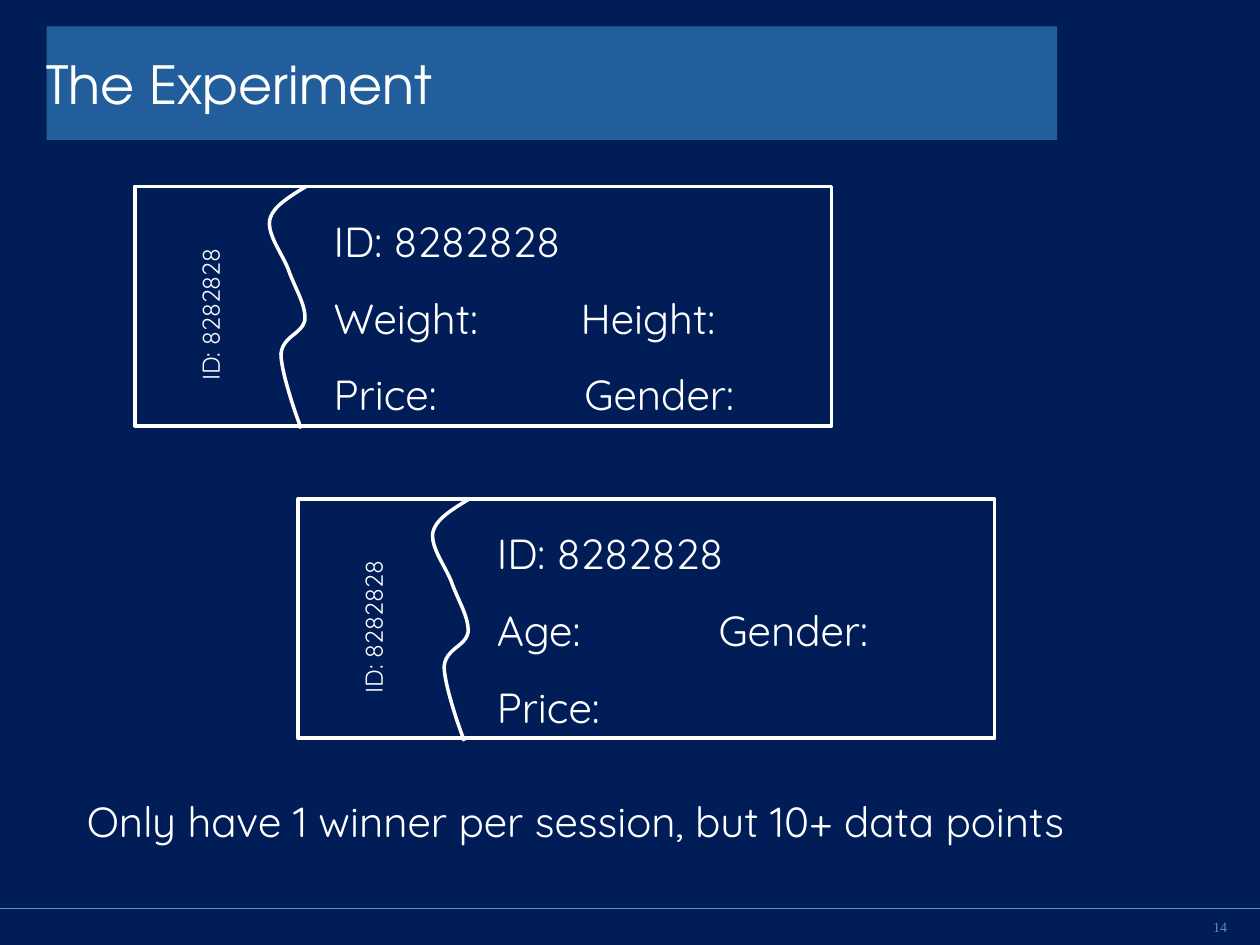
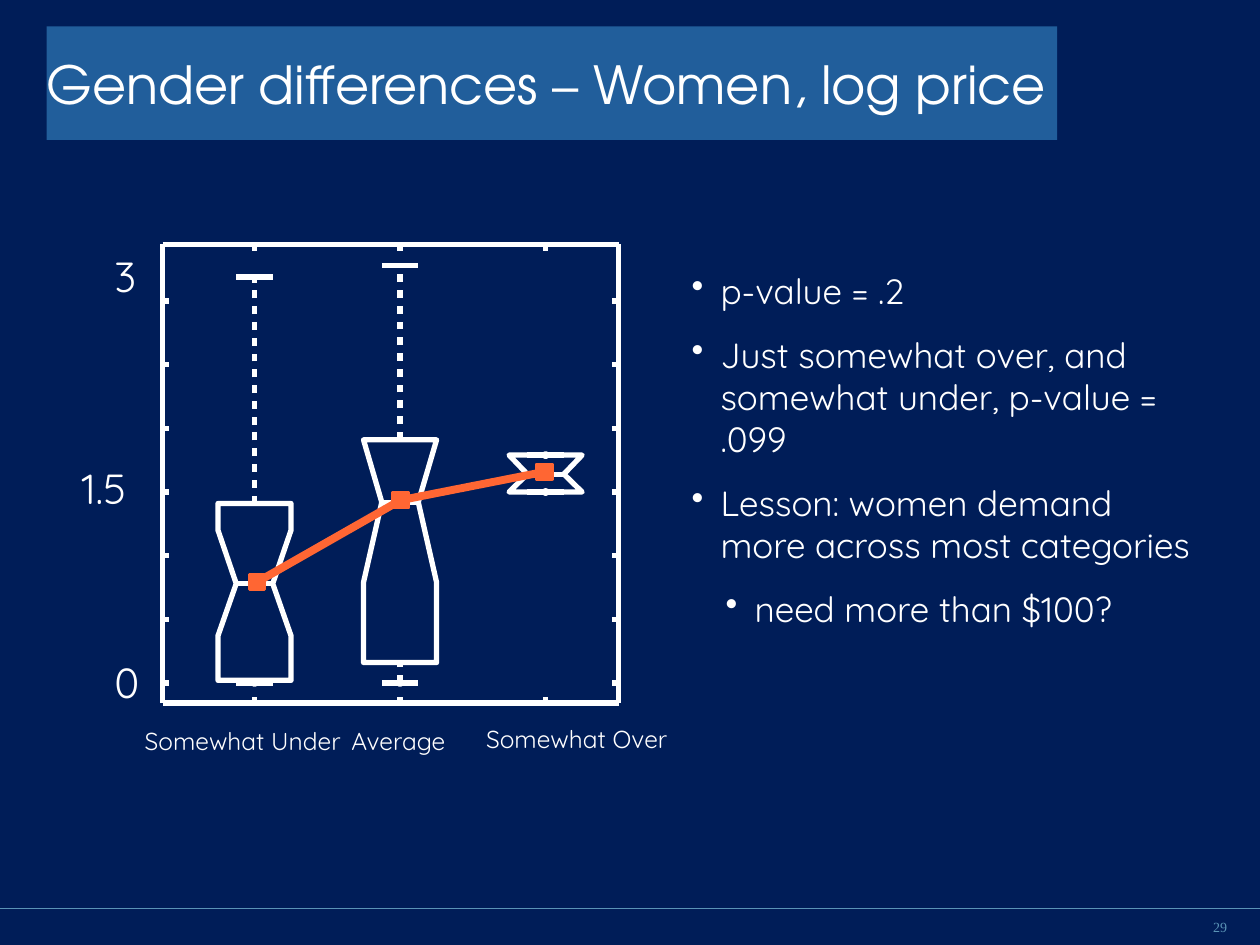
"""Builds two slides: the ticket experiment and a notched box plot of log price."""
from dataclasses import dataclass
from itertools import pairwise
from typing import Any, NamedTuple

from lxml import etree
from pptx import Presentation
from pptx import util as u
from pptx.dml.color import RGBColor
from pptx.enum import shapes, text
from pptx.oxml.ns import qn

COLS, ROWS = 100, 75
WIDE, HIGH = u.Inches(10), u.Inches(7.5)


@dataclass(frozen=True)
class Theme:
    """Colours, fonts, type sizes and line widths."""
    back: str = "001D58"
    band: str = "215E9B"
    ink: str = "FFFFFF"
    pale: str = "5A93B6"
    trend: str = "FF6633"
    dot: str = "000000"
    head: str = "TeX Gyre Adventor"
    body: str = "Quicksand"
    foot: str = "Times New Roman"
    title: float = 30
    large: float = 24
    mid: float = 20
    small: float = 14
    tiny: float = 8
    hair: float = 0.75
    pen: float = 2
    plot: float = 3
    thick: float = 4.5
    lead: float = 0.625


T = Theme()


class Spot(NamedTuple):
    """A point in grid columns and rows."""
    x: float
    y: float


class Area(NamedTuple):
    """A rectangle in grid columns and rows."""
    x: float
    y: float
    w: float
    h: float


class Row(NamedTuple):
    """A line of text with its tab stop or bullet indent."""
    words: str
    tab: float = 0
    mark: float = 0


class Ticket(NamedTuple):
    """A numbered ticket and the rows on it."""
    at: Spot
    rows: tuple[Row, ...]


class Notch(NamedTuple):
    """Values of one notched box."""
    low: float
    base: float
    dip: float
    mid: float
    rise: float
    top: float
    high: float
    dots: tuple[float, ...]


class Label(NamedTuple):
    """An axis label and its box."""
    words: str
    area: Area
    size: float


CODE = "ID: 8282828"
TICKETS = (
    Ticket(Spot(10.7, 14.8), (Row(CODE), Row("Weight:\tHeight:", 19.6),
                              Row("Price:\tGender:", 19.9))),
    Ticket(Spot(23.65, 39.6), (Row(CODE), Row("Age:\tGender:", 17.6), Row("Price:"))),
)
TEAR = ((13.6, 0), (12.3, 0.8), (10.9, 1.6), (10.7, 2.7), (10.5, 3.9), (11.9, 5.6),
        (12.3, 6.9), (12.8, 8.2), (13.6, 9.5), (13.5, 10.6), (13.3, 11.7),
        (11.7, 11.9), (11.6, 13.3), (11.6, 14.7), (12.8, 18.2), (13.2, 19.2))

FRAME = Area(12.9, 19.4, 36.2, 36.4)
FIRST, STEP = 20.2, 11.55
ZERO, UNIT = 54.2, 10.1
HALF, WAIST, TICK = 2.9, 1.45, 0.5
BOXES = (
    Notch(0, 0.02, 0.37, 0.78, 1.2, 1.41, 3.19, (0,)),
    Notch(0, 0.16, 0.79, 1.42, 1.91, 1.91, 3.28, (0,)),
    Notch(1.5, 1.5, 1.5, 1.64, 1.79, 1.79, 1.79, (1.5, 1.79)),
)
TREND = (Spot(20.4, 46.2), Spot(31.8, 39.7), Spot(43.2, 37.45))
LABELS = (
    Label("3", Area(8.1, 18.9, 4.3, 6), T.large),
    Label("1.5", Area(5.5, 35.7, 7.5, 6), T.large),
    Label("0", Area(8.1, 51.1, 4.4, 6), T.large),
    Label("Somewhat Under", Area(10.5, 56.6, 19.7, 4.3), T.small),
    Label("Average", Area(26.9, 56.6, 19.7, 4.3), T.small),
    Label("Somewhat Over", Area(37.6, 56.5, 19.7, 4.3), T.small),
)
NOTES = (
    Row("p-value = .2", mark=2.3),
    Row("Just somewhat over, and somewhat under, p-value = .099", mark=2.3),
    Row("Lesson: women demand more across most categories", mark=2.3),
    Row("need more than $100?", mark=5),
)


def across(n: float) -> u.Emu:
    """Turn grid columns into a length."""
    return u.Emu(round(WIDE * n / COLS))


def down(n: float) -> u.Emu:
    """Turn grid rows into a length."""
    return u.Emu(round(HIGH * n / ROWS))


def place(area: Area) -> tuple[u.Emu, ...]:
    """Turn an area into left, top, width and height."""
    return across(area.x), down(area.y), across(area.w), down(area.h)


def stroke(line: Any, tint: str, width: float) -> None:
    """Colour a line and set its width."""
    line.color.rgb = RGBColor.from_string(tint)
    line.width = u.Pt(width)


def paint(shape: Any, fill: str | None, tint: str, width: float) -> None:
    """Give a shape its fill and line, without shadow."""
    shape.shadow.inherit = False
    if fill:
        shape.fill.solid()
        shape.fill.fore_color.rgb = RGBColor.from_string(fill)
    else:
        shape.fill.background()
    stroke(shape.line, tint, width)


def rule(slide: Any, a: Spot, b: Spot, tint: str = T.ink, width: float = T.plot,
         dash: bool = False) -> None:
    """Draw a straight line, dashed if asked."""
    link = slide.shapes.add_connector(shapes.MSO_CONNECTOR.STRAIGHT,
                                      across(a.x), down(a.y), across(b.x), down(b.y))
    stroke(link.line, tint, width)
    if dash:
        cust = etree.SubElement(link.line._get_or_add_ln(), qn("a:custDash"))
        etree.SubElement(cust, qn("a:ds"), d="150000", sp="150000")
    etree.SubElement(link._element.spPr, qn("a:effectLst"))


def block(slide: Any, kind: Any, area: Area, fill: str | None, tint: str,
          width: float) -> None:
    """Draw a preset shape."""
    paint(slide.shapes.add_shape(kind, *place(area)), fill, tint, width)


def trace(slide: Any, spots: list[Spot], width: float, close: bool) -> None:
    """Draw an unfilled outline through the spots."""
    pts = [(across(s.x), down(s.y)) for s in spots]
    pen = slide.shapes.build_freeform(*pts[0])
    pen.add_line_segments(pts[1:], close=close)
    paint(pen.convert_to_shape(), None, T.ink, width)


def write(para: Any, words: str, size: float, face: str, tint: str) -> None:
    """Add one run of text."""
    run = para.add_run()
    run.text = words
    run.font.size, run.font.name = u.Pt(size), face
    run.font.color.rgb = RGBColor.from_string(tint)


def pad(frame: Any, gap: float, anchor: Any) -> None:
    """Set the insets, anchor and wrapping of a text frame."""
    frame.margin_left = frame.margin_right = across(gap)
    frame.margin_top = frame.margin_bottom = down(gap)
    frame.vertical_anchor = anchor
    frame.word_wrap, frame.auto_size = True, text.MSO_AUTO_SIZE.NONE


def prose(slide: Any, area: Area, rows: tuple[Row, ...], size: float,
          turn: float = 0) -> None:
    """Write rows of body text in a box."""
    box = slide.shapes.add_textbox(*place(area))
    box.rotation = turn
    frame = box.text_frame
    pad(frame, 1, text.MSO_ANCHOR.TOP)
    for i, row in enumerate(rows):
        para = frame.add_paragraph() if i else frame.paragraphs[0]
        props = para._p.get_or_add_pPr()
        if row.mark:
            props.set("marL", str(across(row.mark)))
            props.set("indent", str(-across(2.3)))
            hue = etree.SubElement(props, qn("a:buClr"))
            etree.SubElement(hue, qn("a:srgbClr"), val=T.ink)
            etree.SubElement(props, qn("a:buChar"), char="•")
        if row.tab:
            tabs = etree.SubElement(props, qn("a:tabLst"))
            etree.SubElement(tabs, qn("a:tab"), pos=str(across(row.tab)), algn="l")
        if i:
            para.space_before = u.Pt(size * T.lead)
        write(para, row.words, size, T.body, T.ink)


def start(deck: Any, title: str, page: int) -> Any:
    """Add a slide with its title band, foot rule and page number."""
    slide = deck.slides.add_slide(deck.slide_layouts[5])
    rule(slide, Spot(0, 72.1), Spot(COLS, 72.1), T.pale, T.hair)
    head = slide.shapes.title
    head.left, head.top, head.width, head.height = place(Area(3.7, 2.1, 80.2, 9))
    head.fill.solid()
    head.fill.fore_color.rgb = RGBColor.from_string(T.band)
    foot = slide.shapes.add_textbox(*place(Area(93, 72.8, 4.4, 1.5)))
    for box, words, side, style in (
            (head, title, text.PP_ALIGN.LEFT, (T.title, T.head, T.ink)),
            (foot, str(page), text.PP_ALIGN.RIGHT, (T.tiny, T.foot, T.pale))):
        pad(box.text_frame, 0, text.MSO_ANCHOR.MIDDLE)
        para = box.text_frame.paragraphs[0]
        para.alignment = side
        write(para, words, *style)
    return slide


def curve(at: Spot, parts: int = 12) -> list[Spot]:
    """Sample the torn edge of a ticket as cubic curves."""
    spots = [Spot(at.x + TEAR[0][0], at.y + TEAR[0][1])]
    for i in range(0, len(TEAR) - 1, 3):
        for n in range(1, parts + 1):
            t = n / parts
            parts4 = ((1 - t) ** 3, 3 * t * (1 - t) ** 2, 3 * t * t * (1 - t), t ** 3)
            x, y = (sum(k * p[axis] for k, p in zip(parts4, TEAR[i:i + 4]))
                    for axis in (0, 1))
            spots.append(Spot(at.x + x, at.y + y))
    return spots


def stub(slide: Any, ticket: Ticket) -> None:
    """Draw a ticket with its torn edge, stub and rows."""
    x, y = ticket.at
    block(slide, shapes.MSO_SHAPE.RECTANGLE, Area(x, y, 55.3, 19), None, T.ink, T.pen)
    trace(slide, curve(ticket.at), T.pen, False)
    prose(slide, Area(x - 1.4, y + 6.9, 14.7, 4.3), (Row(CODE),), T.small, 270)
    prose(slide, Area(x + 14.8, y + 1.3, 38.6, 18.2), ticket.rows, T.large)


def axes(slide: Any) -> None:
    """Draw the plot frame and its ticks."""
    left, top, wide, high = FRAME
    right, foot = left + wide, top + high
    ring = (Spot(left, top), Spot(right, top), Spot(right, foot), Spot(left, foot))
    for a, b in pairwise(ring + ring[:1]):
        rule(slide, a, b)
    for i in range(len(BOXES)):
        x = FIRST + STEP * i
        for y, way in ((foot, -TICK), (top, TICK)):
            rule(slide, Spot(x, y), Spot(x, y + way))
    for i in range(7):
        y = ZERO - UNIT / 2 * i
        for x, way in ((left, TICK), (right, -TICK)):
            rule(slide, Spot(x, y), Spot(x + way, y))


def notch(slide: Any, x: float, box: Notch) -> None:
    """Draw one notched box with whiskers, caps and dots."""
    def spot(shift: float, value: float) -> Spot:
        return Spot(x + shift, ZERO - UNIT * value)

    for a, b in ((box.top, box.high), (box.low, box.base)):
        if a != b:
            rule(slide, spot(0, a), spot(0, b), dash=True)
    for value in (box.low, box.high, box.mid):
        rule(slide, spot(-WAIST, value), spot(WAIST, value))
    side = ((HALF, box.top), (HALF, box.rise), (WAIST, box.mid),
            (HALF, box.dip), (HALF, box.base))
    trace(slide, [spot(s, v) for s, v in side]
          + [spot(-s, v) for s, v in reversed(side)], T.plot, True)
    for value in box.dots:
        dot = spot(-0.1, value)
        block(slide, shapes.MSO_SHAPE.OVAL, Area(dot.x, dot.y - 0.1, 0.2, 0.2),
              T.dot, T.ink, T.plot)


def main() -> None:
    """Build and save both slides."""
    deck = Presentation()
    deck.slide_width, deck.slide_height = WIDE, HIGH
    back = deck.slide_master.background.fill
    back.solid()
    back.fore_color.rgb = RGBColor.from_string(T.back)

    slide = start(deck, "The Experiment", 14)
    for ticket in TICKETS:
        stub(slide, ticket)
    prose(slide, Area(5.9, 62.1, 84.1, 6),
          (Row("Only have 1 winner per session, but 10+ data points"),), T.large)

    slide = start(deck, "Gender differences – Women, log price", 29)
    axes(slide)
    for i, box in enumerate(BOXES):
        notch(slide, FIRST + STEP * i, box)
    for a, b in pairwise(TREND):
        rule(slide, a, b, T.trend, T.thick)
    for x, y in TREND:
        block(slide, shapes.MSO_SHAPE.RECTANGLE, Area(x - 0.6, y - 0.6, 1.2, 1.2),
              T.trend, T.trend, T.pen)
    for label in LABELS:
        prose(slide, label.area, (Row(label.words),), label.size)
    prose(slide, Area(53.9, 20.4, 41.8, 30.6), NOTES, T.mid)
    deck.save("out.pptx")


if __name__ == "__main__":
    main()
